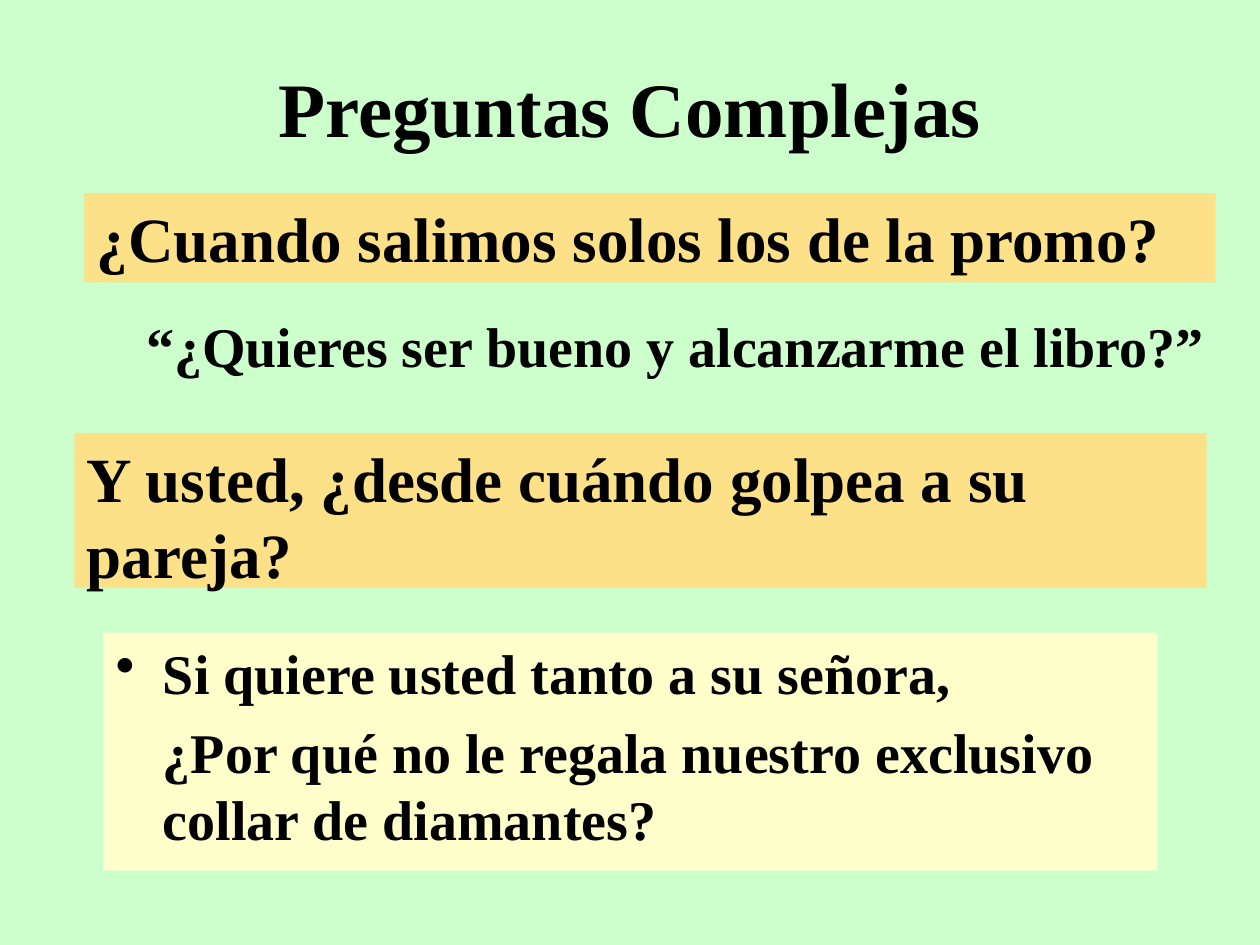
from pptx import Presentation
from pptx.dml.color import RGBColor
from pptx.enum import shapes, text
from pptx.oxml import parse_xml
from pptx.oxml.ns import nsdecls
from pptx.util import Pt

COLORS = {"background": "CCFFCC", "question": "FCE189", "example": "FFFFCC", "text": "000000"}
FONT = "Times New Roman"


def place(shape, left, top, width, height, fill=None):
    shape.left, shape.top = Pt(left), Pt(top)
    shape.width, shape.height = Pt(width), Pt(height)
    if fill:
        shape.fill.solid()
        shape.fill.fore_color.rgb = RGBColor.from_string(COLORS[fill])


def write(shape, lines, size, align=text.PP_ALIGN.LEFT, anchor=text.MSO_ANCHOR.TOP,
          indent=0, bulleted=()):
    """Fill the frame with one paragraph per line; bulleted holds the indexes with a bullet."""
    frame = shape.text_frame
    frame.word_wrap = True
    frame.auto_size = text.MSO_AUTO_SIZE.NONE
    frame.vertical_anchor = anchor
    for index, line in enumerate(lines):
        paragraph = frame.add_paragraph() if index else frame.paragraphs[0]
        paragraph.alignment = align
        paragraph.space_before = Pt(0.2 * size if index else 0)
        properties = paragraph._p.get_or_add_pPr()
        properties.set("marL", str(Pt(indent)))
        properties.set("indent", str(Pt(-indent if index in bulleted else 0)))
        bullet = 'buChar {} char="•"' if index in bulleted else "buNone {}"
        properties.append(parse_xml("<a:" + bullet.format(nsdecls("a")) + "/>"))
        run = paragraph.add_run()
        run.text = line
        run.font.name = FONT
        run.font.size = Pt(size)
        run.font.bold = True
        run.font.color.rgb = RGBColor.from_string(COLORS["text"])


deck = Presentation()
deck.slide_width, deck.slide_height = Pt(720), Pt(540)
slide = deck.slides.add_slide(deck.slide_layouts[1])
slide.background.fill.solid()
slide.background.fill.fore_color.rgb = RGBColor.from_string(COLORS["background"])

title = slide.shapes.title
place(title, 36, 21.6, 648, 78.5)
write(title, ["Preguntas Complejas"], 44, text.PP_ALIGN.CENTER, text.MSO_ANCHOR.MIDDLE)

accusation = slide.placeholders[1]
place(accusation, 42.5, 247.5, 647, 88.5, "question")
write(accusation, ["Y usted, ¿desde cuándo golpea a su pareja?"], 36)

outing = slide.shapes.add_shape(shapes.MSO_SHAPE.RECTANGLE, 0, 0, 0, 0)
place(outing, 48.2, 110.4, 646.5, 51, "question")

request = slide.shapes.add_textbox(0, 0, 0, 0)
place(request, 76.5, 174.2, 629, 46)
write(request, ["“¿Quieres ser bueno y alcanzarme el libro?”"], 32)

advert = slide.shapes.add_shape(shapes.MSO_SHAPE.RECTANGLE, 0, 0, 0, 0)
place(advert, 59, 361.5, 602.5, 136, "example")

for panel in (outing, advert):
    panel.shadow.inherit = False
    panel.line.fill.background()
write(outing, ["¿Cuando salimos solos los de la promo?"], 36)
write(advert, ["Si quiere usted tanto a su señora,",
               "¿Por qué no le regala nuestro exclusivo collar de diamantes?"],
      32, indent=27, bulleted=(0,))

deck.save("out.pptx")
